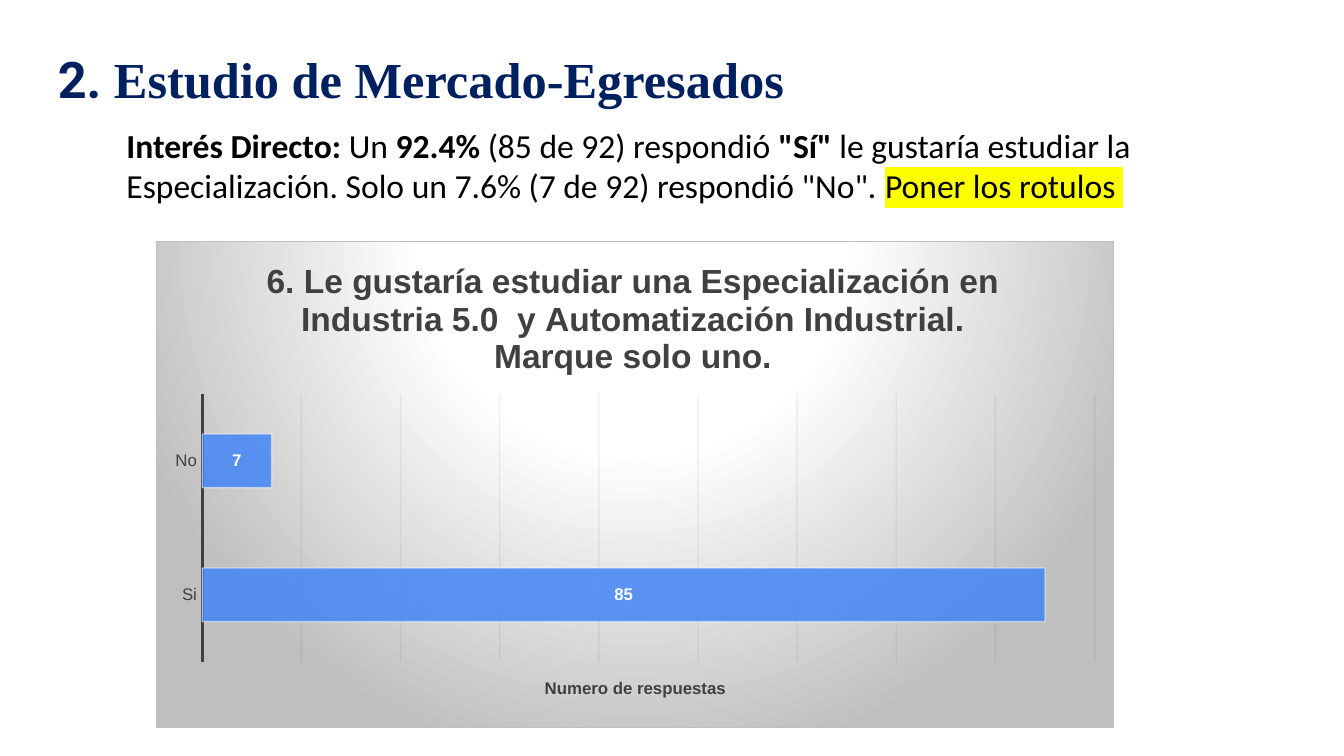
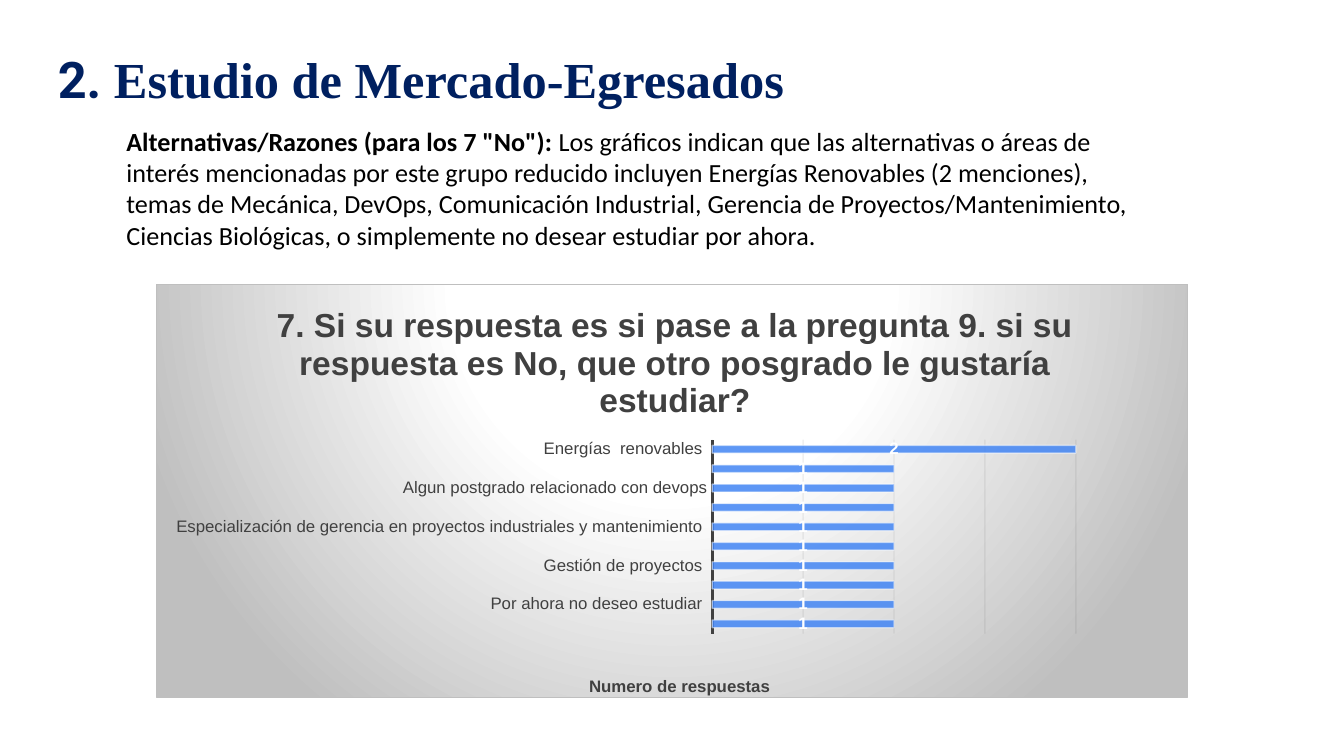
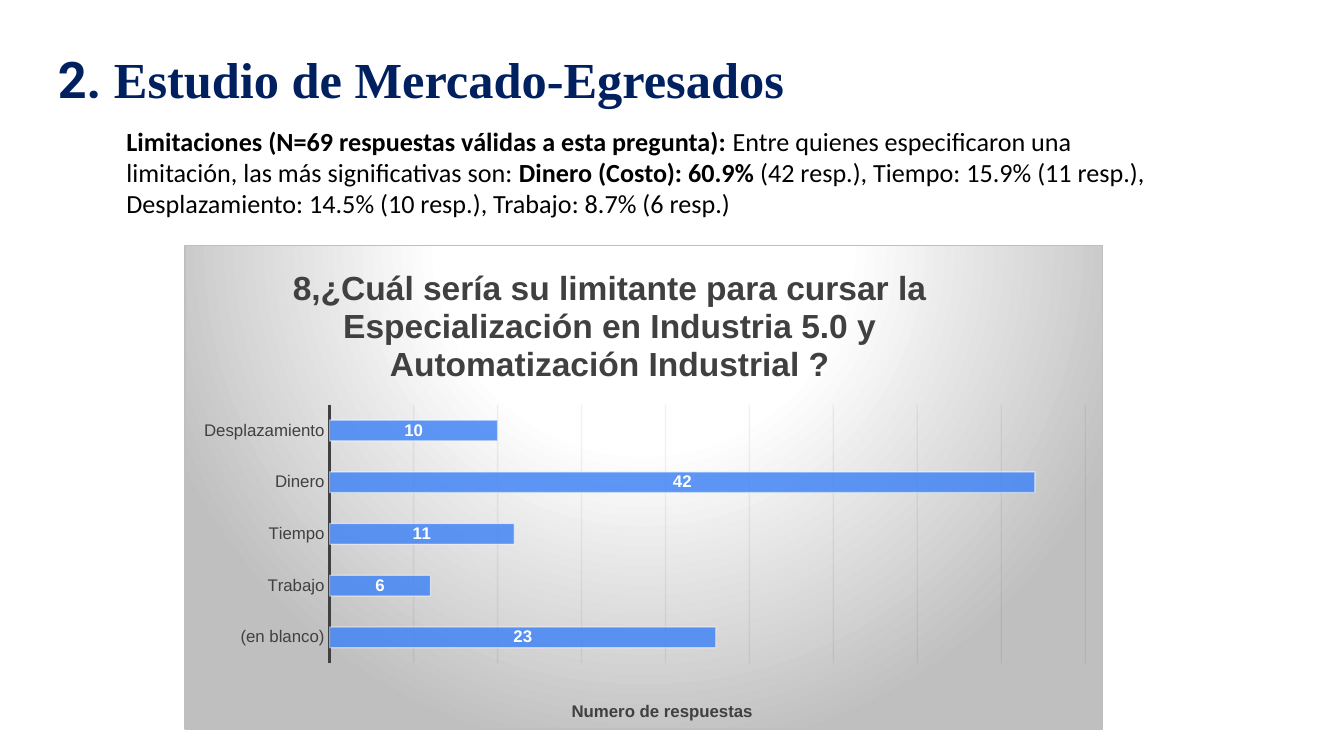
from lxml import etree
from pptx import Presentation
from pptx import util as u
from pptx.chart.data import CategoryChartData
from pptx.dml.color import RGBColor
from pptx.enum import chart as ec, text
from pptx.oxml import parse_xml
from pptx.oxml.ns import nsdecls, qn

NAVY = RGBColor(0x00, 0x20, 0x60)
BLACK = RGBColor(0x00, 0x00, 0x00)
WHITE = RGBColor(0xFF, 0xFF, 0xFF)
DARK = RGBColor(0x40, 0x40, 0x40)
GRID = RGBColor(0x0D, 0x0D, 0x0D)
SILVER = RGBColor(0xBF, 0xBF, 0xBF)
BLUE = RGBColor(0x42, 0x85, 0xF4)
YELLOW = RGBColor(0xFF, 0xFF, 0x00)

TITLE = [("2. ", "Roboto"), ("Estudio de Mercado-Egresados", "Times New Roman")]
TITLE_BOX = (0.33, 0.3, 8.76, 0.56)
AXIS_TITLE = "Numero de respuestas"

SLIDES = [
    {
        "body_box": (0.84, 0.83, 7.78, 1.04),
        "size": 18,
        "body": [
            ("Interés Directo:", "b"), (" Un ", ""), ("92.4%", "b"),
            (" (85 de 92) respondió ", ""), ('"Sí"', "b"),
            (" le gustaría estudiar la Especialización. "
             'Solo un 7.6% (7 de 92) respondió "No". ', ""),
            ("Poner los rotulos ", "h"),
        ],
        "question": ["6. Le gustaría estudiar una Especialización en "
                     "Industria 5.0  y Automatización Industrial.",
                     "Marque solo uno."],
        "chart_box": (1.16, 1.79, 7.13, 3.63),
        "plot_box": (1.5, 2.93, 6.65, 2.0),
        "question_at": (1.95, 1.9),
        "axis_title_at": (4.03, 5.02),
        "scale": (90, 10),
        "answers": [("No", 7), ("Si", 85)],
    },
    {
        "body_box": (0.84, 0.83, 7.78, 1.38),
        "size": 14,
        "body": [
            ('Alternativas/Razones (para los 7 "No"):', "b"),
            (" Los gráficos indican que las alternativas o áreas de interés "
             "mencionadas por este grupo reducido incluyen Energías Renovables "
             "(2 menciones), temas de Mecánica, DevOps, Comunicación Industrial, "
             "Gerencia de Proyectos/Mantenimiento, Ciencias Biológicas, "
             "o simplemente no desear estudiar por ahora.", ""),
        ],
        "question": ["7. Si su respuesta es si pase a la pregunta 9. si su respuesta "
                     "es No, que otro posgrado le gustaría estudiar?"],
        "chart_box": (1.16, 2.11, 7.68, 3.11),
        "plot_box": (5.3, 3.28, 2.71, 1.46),
        "question_at": (2.01, 2.21),
        "axis_title_at": (4.36, 5.03),
        "scale": (2, 0.5),
        "answers": [
            (" Energías  renovables ", 2),
            ("Algo mas relacionado con mecánica ", 1),
            ("Algun postgrado relacionado con devops", 1),
            ("Comunicación industrial ", 1),
            ("Especialización de gerencia en proyectos industriales "
             "y mantenimiento ", 1),
            ("Gerencia de proyectos", 1),
            ("Gestión de proyectos ", 1),
            ("Maestría en ciencias biológicas ", 1),
            ("Por ahora no deseo estudiar ", 1),
            ("Por el momento ninguno ", 1),
        ],
    },
    {
        "body_box": (0.84, 0.83, 7.91, 0.91),
        "size": 14,
        "body": [
            ("Limitaciones (N=69 respuestas válidas a esta pregunta):", "b"),
            (" Entre quienes especificaron una limitación, "
             "las más significativas son: ", ""),
            ("Dinero (Costo): 60.9%", "b"),
            (" (42 resp.), Tiempo: 15.9% (11 resp.), "
             "Desplazamiento: 14.5% (10 resp.), Trabajo: 8.7% (6 resp.)", ""),
        ],
        "question": ["8,¿Cuál sería su limitante para cursar la Especialización "
                     "en Industria 5.0 y Automatización Industrial ?"],
        "chart_box": (1.37, 1.82, 6.84, 3.61),
        "plot_box": (2.45, 3.01, 5.63, 1.93),
        "question_at": (2.13, 1.93),
        "axis_title_at": (4.23, 5.19),
        "scale": (45, 5),
        "answers": [("Desplazamiento", 10), ("Dinero", 42), ("Tiempo", 11),
                    ("Trabajo", 6), ("(en blanco)", 23)],
    },
]


def style(font, name, size, color, bold=False):
    font.name, font.size, font.bold = name, u.Pt(size), bold
    font.color.rgb = color


def place(sp, box, inset, anchor):
    sp.left, sp.top, sp.width, sp.height = map(u.Inches, box)
    tf = sp.text_frame
    tf.word_wrap = True
    tf.auto_size = text.MSO_AUTO_SIZE.NONE
    tf.vertical_anchor = anchor
    tf.margin_left = tf.margin_right = u.Inches(0.1)
    tf.margin_top = tf.margin_bottom = u.Inches(inset)
    p = tf.paragraphs[0]
    p.alignment = text.PP_ALIGN.LEFT
    p.space_before = u.Pt(0)
    return p


def add_run(p, content, name, size, color, bold):
    r = p.add_run()
    r.text = content
    style(r.font, name, size, color, bold)
    return r


def add_body(sp, spec):
    p = place(sp, spec["body_box"], 0.1, text.MSO_ANCHOR.TOP)
    pPr = p._p.get_or_add_pPr()
    pPr.set("marL", "0")
    pPr.set("indent", "0")
    etree.SubElement(pPr, qn("a:buNone"))
    for content, mark in spec["body"]:
        r = add_run(p, content, "Calibri", spec["size"], BLACK, mark == "b")
        if mark == "h":
            r._r.rPr.find(qn("a:solidFill")).addnext(parse_xml(
                f'<a:highlight {nsdecls("a")}><a:srgbClr val="{YELLOW}"/></a:highlight>'))


def set_alpha(fmt, percent):
    clr = fmt._xPr.find(".//" + qn("a:srgbClr"))
    etree.SubElement(clr, qn("a:alpha")).set("val", str(percent * 1000))


def set_line(line, color, width, alpha=100):
    line.color.rgb = color
    line.width = u.Pt(width)
    if alpha < 100:
        set_alpha(line.fill, alpha)


def set_layout(el, index, box, chart_box):
    for old in el.findall(qn("c:layout")):
        el.remove(old)
    left, top, width, height = chart_box
    parts = [("xMode", "edge"), ("yMode", "edge"),
             ("x", (box[0] - left) / width), ("y", (box[1] - top) / height)]
    if len(box) == 4:
        parts.insert(0, ("layoutTarget", "inner"))
        parts += [("w", box[2] / width), ("h", box[3] / height)]
    layout = etree.Element(qn("c:layout"))
    manual = etree.SubElement(layout, qn("c:manualLayout"))
    for tag, val in parts:
        etree.SubElement(manual, qn("c:" + tag)).set("val", str(val))
    el.insert(index, layout)


def add_title(owner, lines, size, at, chart_box):
    tf = owner.text_frame
    for i, line in enumerate(lines):
        p = tf.add_paragraph() if i else tf.paragraphs[0]
        p.alignment = text.PP_ALIGN.CENTER
        add_run(p, line, "Arial", size, DARK, True)
    set_layout(owner._element, 1, at, chart_box)


def fill_background(chart):
    stops = "".join(f'<a:gs pos="{pos * 1000}"><a:srgbClr val="{color}"/></a:gs>'
                    for pos, color in [(0, WHITE), (39, WHITE), (100, SILVER)])
    chart._chartSpace.find(qn("c:chart")).addnext(parse_xml(
        f'<c:spPr {nsdecls("c", "a")}><a:gradFill><a:gsLst>{stops}</a:gsLst>'
        '<a:path path="circle">'
        '<a:fillToRect l="50000" t="-80000" r="50000" b="180000"/></a:path></a:gradFill>'
        f'<a:ln w="{u.Pt(0.75)}"><a:solidFill><a:srgbClr val="{SILVER}"/></a:solidFill></a:ln>'
        '</c:spPr>'))


def add_answers(s, spec):
    box = spec["chart_box"]
    data = CategoryChartData()
    data.categories = [name for name, _ in spec["answers"]]
    data.add_series("Series 1", [count for _, count in spec["answers"]])
    chart = s.shapes.add_chart(ec.XL_CHART_TYPE.BAR_STACKED,
                               *map(u.Inches, box), data).chart
    style(chart.font, "Arial", 10, BLACK)
    chart.has_legend = False
    chart.has_title = True
    add_title(chart.chart_title, spec["question"], 18, spec["question_at"], box)

    cat = chart.category_axis
    cat.reverse_order = True
    cat.major_tick_mark = ec.XL_TICK_MARK.NONE
    style(cat.tick_labels.font, "Arial", 9, DARK)
    set_line(cat.format.line, DARK, 1.5)
    skip = etree.Element(qn("c:tickLblSkip"))
    skip.set("val", "1")
    cat._element.find(qn("c:noMultiLvlLbl")).addprevious(skip)

    val = chart.value_axis
    val.minimum_scale = 0
    val.maximum_scale, val.major_unit = spec["scale"]
    val.has_major_gridlines = True
    set_line(val.major_gridlines.format.line, GRID, 0.75, 5)
    val.has_title = True
    add_title(val.axis_title, [AXIS_TITLE], 9, spec["axis_title_at"], box)
    val.visible = False

    plot = chart.plots[0]
    plot.gap_width, plot.overlap = 150, 100
    plot.vary_by_categories = False
    bars = plot.series[0]
    bars.format.fill.solid()
    bars.format.fill.fore_color.rgb = BLUE
    set_alpha(bars.format.fill, 85)
    set_line(bars.format.line, WHITE, 0.75, 50)
    labels = bars.data_labels
    labels.show_value = True
    labels.position = ec.XL_LABEL_POSITION.CENTER
    style(labels.font, "Arial", 9, WHITE, True)

    set_layout(chart._chartSpace.find(".//" + qn("c:plotArea")), 0, spec["plot_box"], box)
    fill_background(chart)


def main():
    prs = Presentation()
    prs.slide_width = u.Inches(10)
    prs.slide_height = prs.slide_width * 9 // 16
    for spec in SLIDES:
        s = prs.slides.add_slide(prs.slide_layouts[1])
        add_body(s.placeholders[1], spec)
        p = place(s.shapes.title, TITLE_BOX, 0.05, text.MSO_ANCHOR.MIDDLE)
        for content, name in TITLE:
            add_run(p, content, name, 27, NAVY, True)
        add_answers(s, spec)
    prs.save("out.pptx")


if __name__ == "__main__":
    main()
